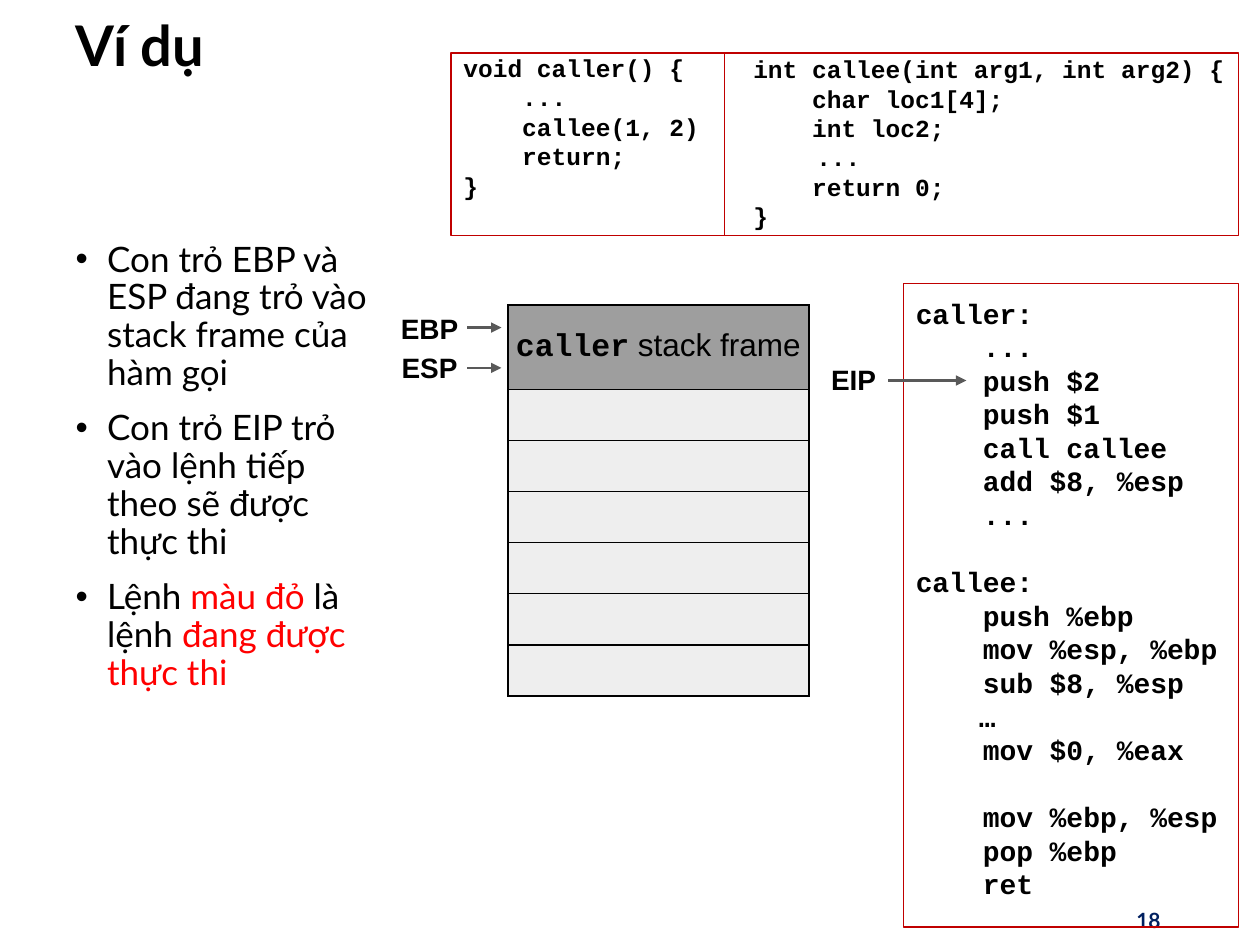
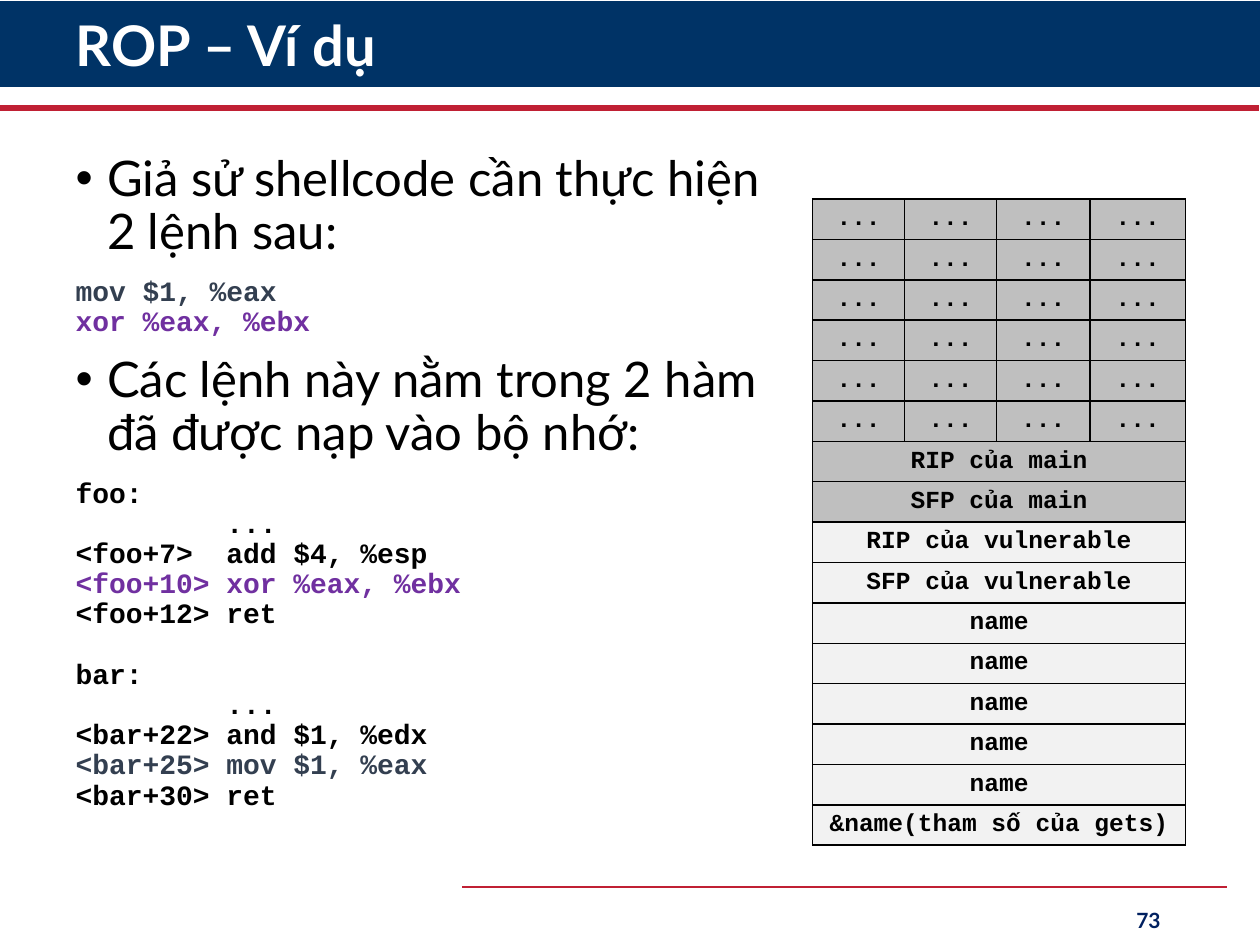
import dataclasses

import lxml.etree
import pptx
import pptx.dml.color
import pptx.enum.dml
import pptx.enum.shapes
import pptx.enum.text
import pptx.oxml
import pptx.oxml.ns
import pptx.util

Inches = pptx.util.Inches
Pt = pptx.util.Pt
RGB = pptx.dml.color.RGBColor.from_string
ALIGN = pptx.enum.text.PP_ALIGN
ANCHOR = pptx.enum.text.MSO_ANCHOR
qn = pptx.oxml.ns.qn


@dataclasses.dataclass(frozen=True)
class Theme:
    sans: str = "Lato"
    label: str = "Arial"
    mono: str = "Courier New"
    black: str = "000000"
    white: str = "FFFFFF"
    red: str = "FF0000"
    frame: str = "C00000"
    arrow: str = "595959"
    navy: str = "003366"
    rule: str = "C02034"
    number: str = "002060"
    slate: str = "333F50"
    purple: str = "7030A0"
    used: str = "9E9E9E"
    free: str = "EEEEEE"
    saved: str = "BFBFBF"
    local: str = "F2F2F2"
    title_pt: int = 32
    point_pt: int = 28
    small_point_pt: int = 20
    frame_pt: int = 18
    code_pt: int = 16
    small_code_pt: int = 14
    number_pt: int = 12


T = Theme()


def text(tf, lines, size=T.code_pt, font=T.sans, color=T.black, bold=False,
         align=ALIGN.LEFT, spacing=1.0, before=0, bullet=False, tab=None,
         inset=None, anchor=None, append=False):
    if inset is not None:
        tf.margin_left, tf.margin_top, tf.margin_right, tf.margin_bottom = [
            Inches(v) for v in inset]
        tf.auto_size = pptx.enum.text.MSO_AUTO_SIZE.NONE
        tf.word_wrap = True
    if anchor is not None:
        tf.vertical_anchor = anchor
    gap = before
    for line in lines:
        if not line:
            gap += spacing.pt
            continue
        p = tf.add_paragraph() if append else tf.paragraphs[0]
        p.alignment = align
        p.line_spacing = spacing
        p.space_before = Pt(gap if append else 0)
        gap = before if bullet else 0
        append = True
        pPr = p._p.get_or_add_pPr()
        pPr.set("marL", str(Inches(0.25) if bullet else 0))
        pPr.set("indent", str(Inches(-0.25) if bullet else 0))
        if bullet:
            lxml.etree.SubElement(pPr, qn("a:buFont")).set("typeface", "Arial")
            lxml.etree.SubElement(pPr, qn("a:buChar")).set("char", "•")
        else:
            lxml.etree.SubElement(pPr, qn("a:buNone"))
        if tab:
            tabs = lxml.etree.SubElement(pPr, qn("a:tabLst"))
            stop = lxml.etree.SubElement(tabs, qn("a:tab"))
            stop.set("pos", str(Inches(tab)))
            stop.set("algn", "l")
        for words, own in [(line, {})] if isinstance(line, str) else line:
            r = p.add_run()
            r.text = words
            r.font.size = Pt(size)
            r.font.name = own.get("font", font)
            r.font.bold = own.get("bold", bold)
            r.font.color.rgb = RGB(own.get("color", color))


def connect(s, x1, y1, x2, y2, color, width, arrow=False):
    ln = s.shapes.add_connector(pptx.enum.shapes.MSO_CONNECTOR.STRAIGHT,
                                Inches(x1), Inches(y1), Inches(x2), Inches(y2))
    ln.line.color.rgb = RGB(color)
    ln.line.width = Pt(width)
    if arrow:
        tail = lxml.etree.SubElement(ln.line._get_or_add_ln(), qn("a:tailEnd"))
        tail.set("type", "triangle")
    lxml.etree.SubElement(ln._element.spPr, qn("a:effectLst"))
    return ln


prs = pptx.Presentation()
prs.slide_width, prs.slide_height = Inches(10), Inches(7.5)

slides = []
for title, color, number, body_top, body_width, body_height in [
        ("Ví dụ", T.black, "18", 1.87, 2.56, 5.21),
        ("ROP – Ví dụ", T.white, "73", 1.17, 5.75, 6.08)]:
    s = prs.slides.add_slide(prs.slide_layouts[1])
    head, body = s.shapes.title, s.placeholders[1]
    head.left, head.top = Inches(0.5), Inches(0.08)
    head.width, head.height = Inches(8.81), Inches(0.61)
    text(head.text_frame, [title], size=T.title_pt, color=color, bold=True,
         spacing=0.9, inset=(0.1, 0.05, 0.1, 0.05), anchor=ANCHOR.MIDDLE)
    body.left, body.top = Inches(0.5), Inches(body_top)
    body.width, body.height = Inches(body_width), Inches(body_height)
    tb = s.shapes.add_textbox(Inches(7.06), Inches(7.1), Inches(2.25), Inches(0.4))
    text(tb.text_frame, [number], size=T.number_pt, color=T.number, bold=True,
         align=ALIGN.RIGHT, inset=(0.1, 0.05, 0.1, 0.05), anchor=ANCHOR.MIDDLE)
    slides.append((s, body.text_frame))
(stack_slide, stack_body), (rop_slide, rop_body) = slides

s = stack_slide
text(stack_body, [
    "Con trỏ EBP và ESP đang trỏ vào stack frame của hàm gọi",
    "Con trỏ EIP trỏ vào lệnh tiếp theo sẽ được thực thi",
    [("Lệnh ", {}), ("màu đỏ", {"color": T.red}), (" là lệnh ", {}),
     ("đang được thực thi", {"color": T.red})],
], size=T.small_point_pt, spacing=0.9, before=10, bullet=True,
    inset=(0.1, 0.05, 0.1, 0.05), anchor=ANCHOR.TOP)

boxes = []
for x, y, w, h in [(7.17, 2.25, 2.66, 5.11), (3.58, 0.42, 6.25, 1.45)]:
    sp = s.shapes.add_shape(pptx.enum.shapes.MSO_SHAPE.RECTANGLE,
                            Inches(x), Inches(y), Inches(w), Inches(h))
    sp.shadow.inherit = False
    sp.fill.background()
    sp.line.color.rgb = RGB(T.frame)
    sp.line.width = Pt(1)
    boxes.append(sp)
connect(s, 5.75, 0.42, 5.75, 1.87, T.frame, 1)

assembly = """caller:
    ...
    push $2
    push $1
    call callee
    add $8, %esp
    ...

callee:
    push %ebp
    mov %esp, %ebp
    sub $8, %esp
\t…
    mov $0, %eax

    mov %ebp, %esp
    pop %ebp
    ret"""
text(boxes[0].text_frame, assembly.split("\n"), font=T.mono, bold=True,
     spacing=Pt(19.2), tab=0.5, inset=[0.1] * 4, anchor=ANCHOR.TOP)

caller = """void caller() {
    ...
    callee(1, 2)
    return;
}"""
callee = """int callee(int arg1, int arg2) {
    char loc1[4];
    int loc2;
\t...
    return 0;
}"""
for code, x, y, w, h in [(caller, 3.58, 0.32, 2.5, 1.18),
                         (callee, 5.88, 0.33, 4.02, 1.62)]:
    tb = s.shapes.add_textbox(Inches(x), Inches(y), Inches(w), Inches(h))
    text(tb.text_frame, code.split("\n"), size=T.small_code_pt, font=T.mono,
         bold=True, spacing=Pt(16.8), tab=1, inset=[0.1] * 4)

for register, x, y, w, arrow_y, arrow_end in [("EBP", 3.11, 2.42, 0.6, 2.6, 3.98),
                                              ("ESP", 3.11, 2.73, 0.6, 2.92, 3.98),
                                              ("EIP", 6.5, 2.83, 0.55, 3.02, 7.67)]:
    tb = s.shapes.add_textbox(Inches(x), Inches(y), Inches(w), Inches(0.37))
    text(tb.text_frame, [register], font=T.label, bold=True,
         align=ALIGN.CENTER, inset=[0.05] * 4)
    connect(s, x + w, arrow_y, arrow_end, arrow_y, T.arrow, 1.5, arrow=True)

caller_frame = [("caller", {"font": T.mono, "bold": True}), (" stack frame", {})]
stack_rows = [([caller_frame], T.used)] + [([""], T.free)] * 6

s = rop_slide
band = s.shapes.add_shape(pptx.enum.shapes.MSO_SHAPE.RECTANGLE,
                          Inches(0), Inches(0.01), Inches(10), Inches(0.68))
band.shadow.inherit = False
band.fill.solid()
band.fill.fore_color.rgb = RGB(T.navy)
band.line.fill.background()
head_rule = connect(s, -0.01, 0.86, 9.99, 0.86, T.rule, 3.5)
foot_rule = connect(s, 3.67, 7.04, 9.74, 7.04, T.rule, 1.5)
for i, sp in enumerate([band, head_rule, foot_rule]):
    s.shapes._spTree.insert(2 + i, sp._element)

wanted = [[("mov $1, %eax", {"color": T.slate})],
          [("xor %eax, %ebx", {"color": T.purple})]]
gadgets = ["foo:", "         ...", "<foo+7>  add $4, %esp",
           [("<foo+10> xor %eax, %ebx", {"color": T.purple})],
           "<foo+12> ret", "", "bar:", "         ...", "<bar+22> and $1, %edx",
           [("<bar+25> mov $1, %eax", {"color": T.slate})], "<bar+30> ret"]
rop_body.vertical_anchor = ANCHOR.TOP
for i, (point, code) in enumerate([
        ("Giả sử shellcode cần thực hiện 2 lệnh sau:", wanted),
        ("Các lệnh này nằm trong 2 hàm đã được nạp vào bộ nhớ:", gadgets)]):
    text(rop_body, [point], size=T.point_pt, spacing=0.9, before=10, bullet=True,
         inset=(0.1, 0.05, 0.1, 0.05), append=i > 0)
    text(rop_body, code, font=T.mono, bold=True, spacing=Pt(17.25), before=10,
         append=True)

memory_rows = [(["..."] * 4, T.saved)] * 6
memory_rows += [([f"{register} của main"], T.saved) for register in ("RIP", "SFP")]
memory_rows += [([f"{register} của vulnerable"], T.local) for register in ("RIP", "SFP")]
memory_rows += [(["name"], T.local)] * 5
memory_rows += [(["&name(tham số của gets)"], T.local)]

frame_style = dict(size=T.frame_pt, font=T.label)
memory_style = dict(size=T.small_code_pt, font=T.mono, bold=True)
for s, x, y, widths, heights, rows, style, side in [
        (stack_slide, 4.03, 2.42, [2.39], [0.67] + [0.4] * 6,
         stack_rows, frame_style, 0.05),
        (rop_slide, 6.45, 1.58, [0.73, 0.73, 0.74, 0.76], [0.32] * 16,
         memory_rows, memory_style, 0)]:
    table = s.shapes.add_table(len(heights), len(widths), Inches(x), Inches(y),
                               Inches(sum(widths)), Inches(sum(heights))).table
    table.first_row = table.horz_banding = False
    for col, w in zip(table.columns, widths):
        col.width = Inches(w)
    for i, ((labels, fill), h) in enumerate(zip(rows, heights)):
        table.rows[i].height = Inches(h)
        for j in range(len(widths)):
            cell = table.cell(i, j)
            for edge in ("L", "R", "T", "B"):
                ln = lxml.etree.SubElement(cell._tc.get_or_add_tcPr(), qn(f"a:ln{edge}"))
                ln.set("w", str(Pt(1)))
                paint = lxml.etree.SubElement(ln, qn("a:solidFill"))
                lxml.etree.SubElement(paint, qn("a:srgbClr")).set("val", T.black)
            cell.fill.solid()
            cell.fill.fore_color.rgb = RGB(fill)
            cell.margin_left = cell.margin_right = Inches(side)
            cell.margin_top = cell.margin_bottom = Inches(0.05)
            cell.vertical_anchor = ANCHOR.MIDDLE
        if len(labels) < len(widths):
            table.cell(i, 0).merge(table.cell(i, len(widths) - 1))
        for j, label in enumerate(labels):
            if label:
                text(table.cell(i, j).text_frame, [label], align=ALIGN.CENTER, **style)

prs.save("out.pptx")
